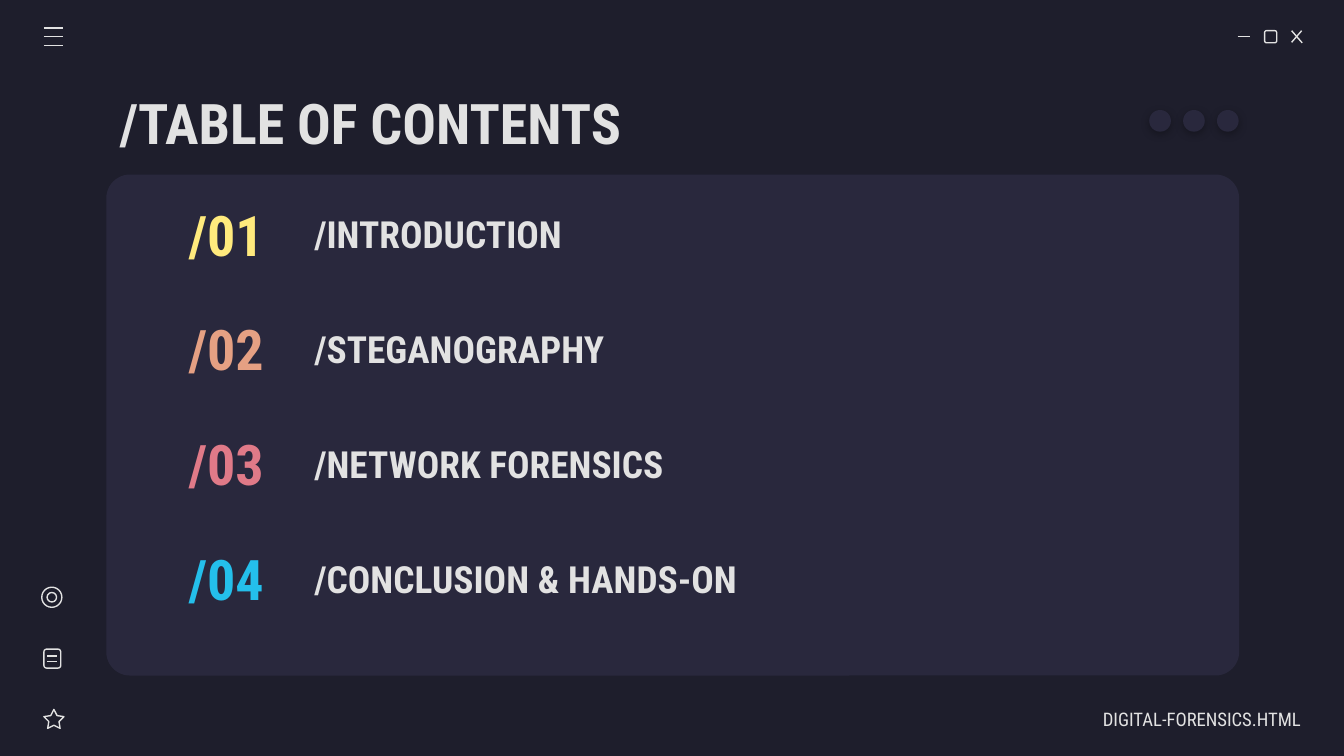
from lxml.etree import SubElement
from pptx import Presentation
from pptx.dml.color import RGBColor
from pptx.enum.shapes import MSO_CONNECTOR, MSO_SHAPE
from pptx.enum.text import MSO_ANCHOR, PP_ALIGN
from pptx.oxml.ns import qn
from pptx.util import Cm, Pt

INK, PANEL, BACKDROP = "E2E2E2", "29283D", "1E1E2C"

TITLE = "/TABLE OF CONTENTS"
FOOTER = "DIGITAL-FORENSICS.HTML"
CHAPTERS = [
    ("/01", "/INTRODUCTION", "FFEA7D"),
    ("/02", "/STEGANOGRAPHY", "E5A083"),
    ("/03", "/NETWORK FORENSICS", "E07A88"),
    ("/04", "/CONCLUSION & HANDS-ON", "24BFEB"),
]
FIRST_ROW, ROW_PITCH, ROW_HEIGHT = 3.91, 2.17, 1.02
FIRST_DOT, DOT_PITCH, DOT_SIZE = 21.72, 0.64, 0.41

MENU_BARS = [(0.83, y, 1.2, y) for y in (0.53, 0.69, 0.86)]
WINDOW_STROKES = [
    (23.39, 0.69, 23.62, 0.69),
    (24.41, 0.58, 24.61, 0.81),
    (24.6, 0.58, 24.41, 0.8),
]
NOTE_LINES = [(0.89, y, 1.07, y) for y in (12.4, 12.5)]
ICON_OUTLINES = [
    (MSO_SHAPE.ROUNDED_RECTANGLE, 23.9, 0.58, 0.23, 0.23),
    (MSO_SHAPE.ROUNDED_RECTANGLE, 0.83, 12.27, 0.32, 0.36),
    (MSO_SHAPE.OVAL, 0.79, 11.1, 0.38, 0.38),
    (MSO_SHAPE.OVAL, 0.89, 11.2, 0.18, 0.18),
]

deck = Presentation()
deck.slide_width, deck.slide_height = Cm(25.4), Cm(14.29)
slide = deck.slides.add_slide(deck.slide_layouts[6])


def color(value):
    return RGBColor.from_string(value)


def add_shape(kind, left, top, width, height, fill=None, adjust=None):
    shape = slide.shapes.add_shape(kind, Cm(left), Cm(top), Cm(width), Cm(height))
    shape.shadow.inherit = False
    if fill:
        shape.fill.solid()
        shape.fill.fore_color.rgb = color(fill)
        shape.line.fill.background()
    else:
        shape.fill.background()
        shape.line.color.rgb = color(INK)
        shape.line.width = Pt(0.75)
    if adjust is not None:
        shape.adjustments[0] = adjust
    return shape


def add_soft_shadow(shape):
    effects = shape._element.spPr.find(qn("a:effectLst"))
    shadow = SubElement(effects, qn("a:outerShdw"), blurRad=str(Pt(4.5)),
                        dist=str(Pt(1.5)), dir="5400000", rotWithShape="0")
    black = SubElement(shadow, qn("a:srgbClr"), val="000000")
    SubElement(black, qn("a:alpha"), val="30000")


def add_stroke(x1, y1, x2, y2):
    stroke = slide.shapes.add_connector(
        MSO_CONNECTOR.STRAIGHT, Cm(x1), Cm(y1), Cm(x2), Cm(y2))
    stroke.line.color.rgb = color(INK)
    stroke.line.width = Pt(0.75)
    SubElement(stroke._element.spPr, qn("a:effectLst"))


def add_text(text, left, top, width, height, size=20, ink=INK, bold=True,
             align=PP_ALIGN.LEFT, right_inset=0.25):
    box = slide.shapes.add_textbox(Cm(left), Cm(top), Cm(width), Cm(height))
    frame = box.text_frame
    frame.word_wrap = True
    frame.vertical_anchor = MSO_ANCHOR.MIDDLE
    frame.margin_left = frame.margin_top = frame.margin_bottom = Cm(0.25)
    frame.margin_right = Cm(right_inset)
    paragraph = frame.paragraphs[0]
    paragraph.alignment = align
    run = paragraph.add_run()
    run.text = text
    run.font.name = "Roboto Condensed"
    run.font.size = Pt(size)
    run.font.bold = bold
    run.font.color.rgb = color(ink)


slide.background.fill.solid()
slide.background.fill.fore_color.rgb = color(BACKDROP)
add_shape(MSO_SHAPE.ROUNDED_RECTANGLE, 2.01, 3.3, 21.41, 9.47, fill=PANEL, adjust=0.047)

add_text(TITLE, 2.01, 1.5, 21.41, 1.6, size=30)
for row, (number, chapter, accent) in enumerate(CHAPTERS):
    top = FIRST_ROW + row * ROW_PITCH
    add_text(number, 3.12, top, 2.31, ROW_HEIGHT, size=30, ink=accent,
             align=PP_ALIGN.CENTER)
    add_text(chapter, 5.69, top, 16.61, ROW_HEIGHT)

for outline in ICON_OUTLINES:
    add_shape(*outline)
add_shape(MSO_SHAPE.STAR_5_POINT, 0.83, 13.41, 0.38, 0.36, adjust=0.254)
for stroke_ends in MENU_BARS + WINDOW_STROKES + NOTE_LINES:
    add_stroke(*stroke_ends)

for position in range(3):
    dot = add_shape(MSO_SHAPE.OVAL, FIRST_DOT + position * DOT_PITCH, 2.08,
                    DOT_SIZE, DOT_SIZE, fill=PANEL)
    add_soft_shadow(dot)

add_text(FOOTER, 19.91, 13.21, 4.67, 0.76, size=10, bold=False,
         align=PP_ALIGN.RIGHT, right_inset=0)

deck.save("out.pptx")
